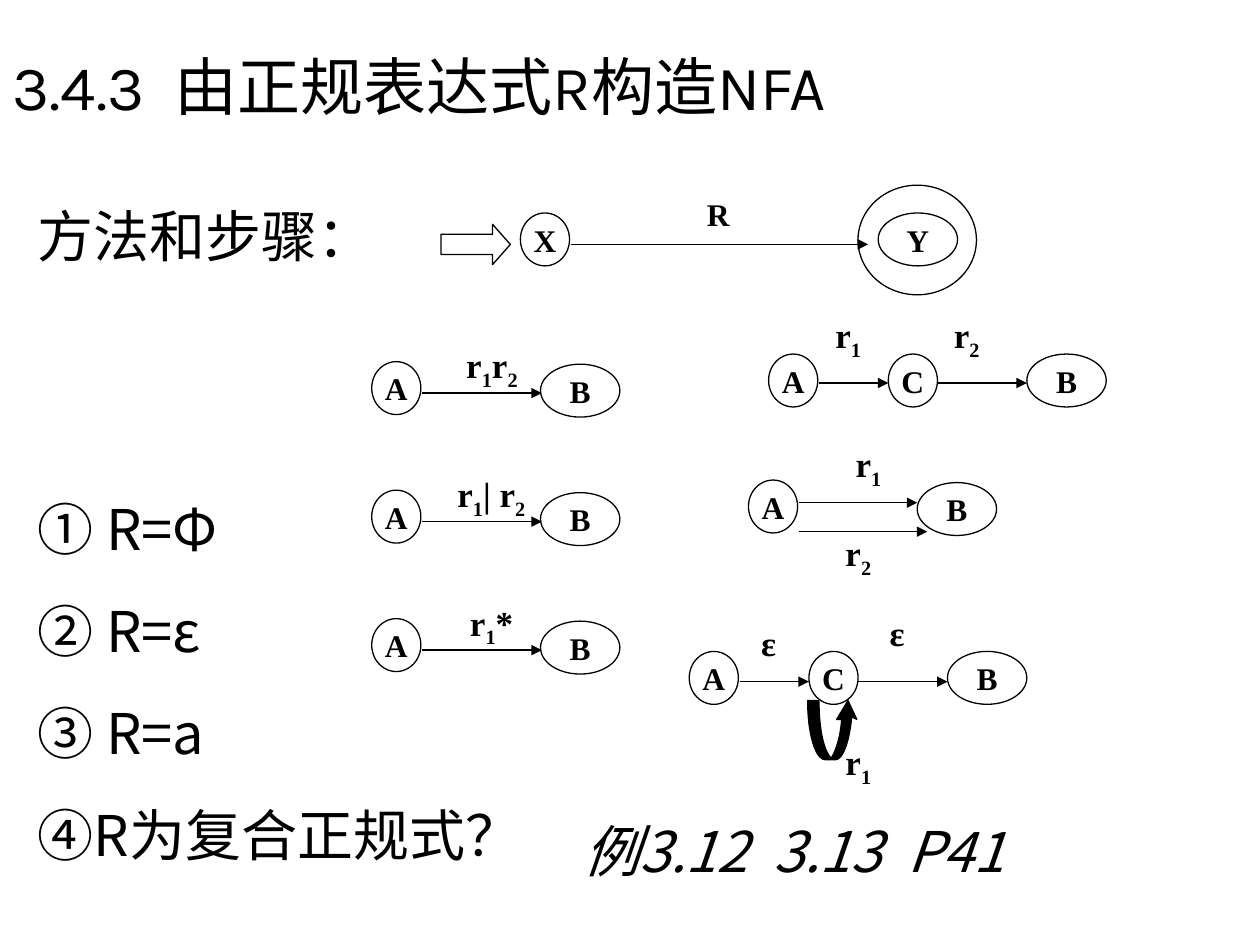
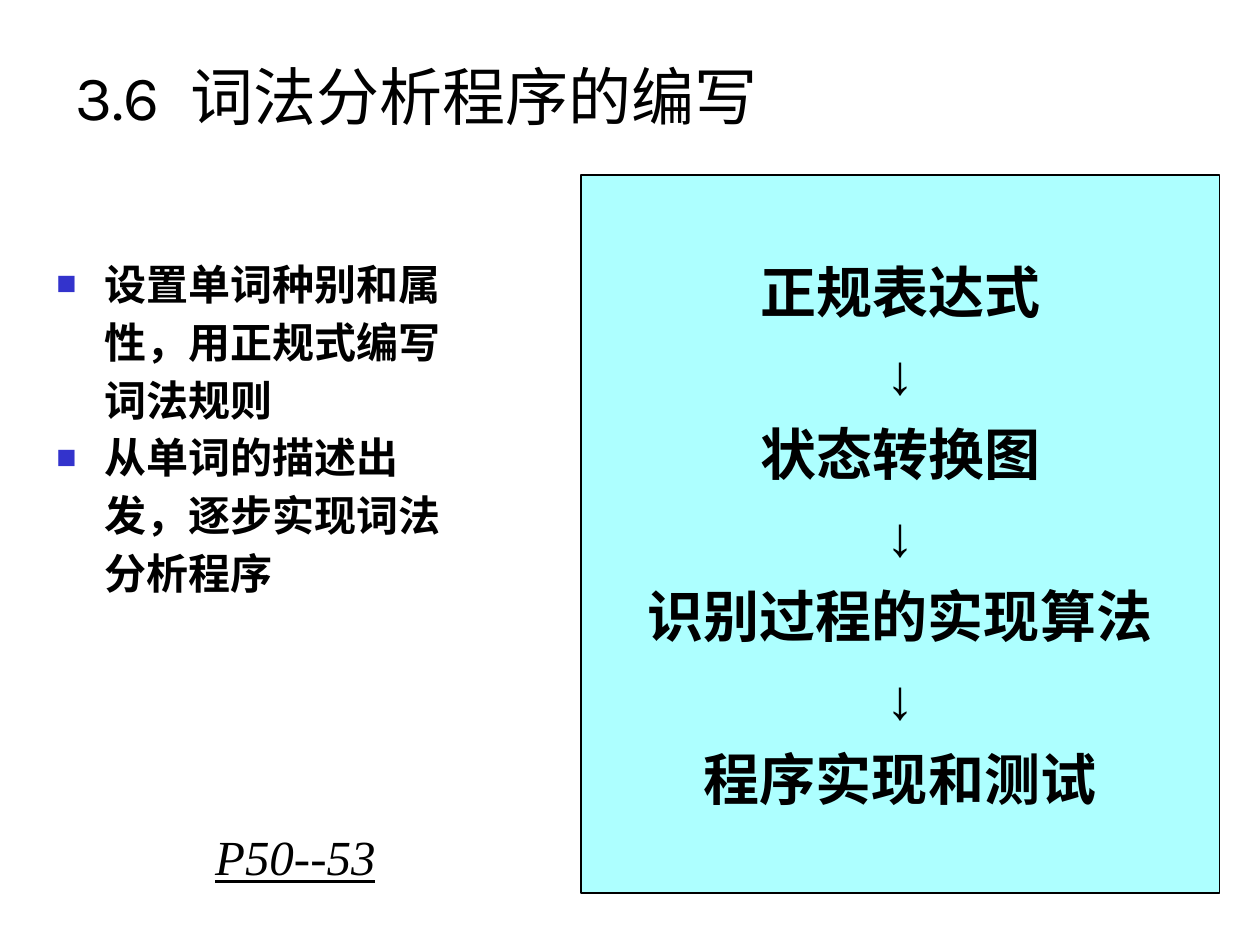
from dataclasses import dataclass
from itertools import groupby

from lxml import etree
from pptx import Presentation
from pptx import util as u
from pptx.dml.color import RGBColor
from pptx.enum import shapes, text
from pptx.oxml import ns

SHAPE = shapes.MSO_SHAPE
LEFT, MID = text.PP_ALIGN.LEFT, text.PP_ALIGN.CENTER
ANCHOR = text.MSO_ANCHOR
FIT = text.MSO_AUTO_SIZE


@dataclass(frozen=True)
class Theme:
    ink: RGBColor = RGBColor(0, 0, 0)
    page: RGBColor = RGBColor(255, 255, 255)
    panel: RGBColor = RGBColor(0xAD, 0xFF, 0xFF)
    mark: str = "3333CC"
    head: str = "Karla"
    body: str = "Noto Sans CJK SC"
    flow: str = "Arial"
    math: str = "Times New Roman"
    title: int = 36
    large: int = 32
    page_ref: int = 28
    list: int = 24
    label: int = 20
    node: int = 18
    thin: float = 0.75


T = Theme()
SMALL, WIDE, HIGH = 0.39, 0.63, 0.42  # state widths and height


def inches(*nums):
    return [u.Inches(n) for n in nums]


def add_xml(parent, tag, **attrs):
    return etree.SubElement(parent, ns.qn(tag), **attrs)


# Text
def style(par, font, size, align=LEFT, **flags):
    par.alignment = align
    par.font.name = font
    par.font.size = u.Pt(size)
    par.font.color.rgb = T.ink
    for flag, value in flags.items():
        setattr(par.font, flag, value)


def write(frame, lines, font, size, gap=0, align=LEFT, anchor=ANCHOR.TOP, **flags):
    frame.word_wrap = True
    frame.vertical_anchor = anchor
    for i, line in enumerate(lines):
        par = frame.add_paragraph() if i else frame.paragraphs[0]
        par.add_run().text = line
        if i and gap:
            par.space_before = u.Pt(gap)
        style(par, font, size, align, **flags)


def no_inset(frame):
    frame.margin_left = frame.margin_right = 0
    frame.margin_top = frame.margin_bottom = 0


def add_title(slide, words, *box):
    title = slide.shapes.title
    title.left, title.top, title.width, title.height = inches(*box)
    title.text_frame.auto_size = FIT.NONE
    write(title.text_frame, [words], T.head, T.title, anchor=ANCHOR.MIDDLE)


def add_note(slide, lines, box, font=T.body, size=T.large, **flags):
    note = slide.shapes.add_textbox(*inches(*box))
    write(note.text_frame, lines, font, size, gap=20, anchor=ANCHOR.BOTTOM, **flags)
    note.text_frame.auto_size = FIT.SHAPE_TO_FIT_TEXT
    return note


def add_list(slide, items, box):
    frame = slide.shapes.add_textbox(*inches(*box)).text_frame
    write(frame, items, T.head, T.list, bold=True)
    for par in frame.paragraphs:
        props = par._p.get_or_add_pPr()
        indent = u.Inches(0.38)
        props.set("marL", str(indent))
        props.set("indent", str(-indent))
        props.set("hangingPunct", "0")
        font = props.find(ns.qn("a:defRPr"))
        add_xml(add_xml(props, "a:buClr"), "a:srgbClr", val=T.mark)
        add_xml(props, "a:buSzPct", val="80000")
        add_xml(props, "a:buFont", typeface=T.flow)
        add_xml(props, "a:buChar", char="■")
        props.append(font)
        par.line_spacing = 1.15


# Diagram parts
def add_shape(slide, kind, box, fill=None, width=T.thin):
    shape = slide.shapes.add_shape(kind, *inches(*box))
    paint(shape, fill, width)
    return shape


def paint(shape, fill, width=T.thin):
    shape.shadow.inherit = False
    if fill is None:
        shape.fill.background()
    else:
        shape.fill.solid()
        shape.fill.fore_color.rgb = fill
    shape.line.color.rgb = T.ink
    shape.line.width = u.Pt(width)


def add_state(slide, name, left, top, width=SMALL):
    state = add_shape(slide, SHAPE.OVAL, (left, top, width, HIGH))
    no_inset(state.text_frame)
    write(state.text_frame, [name], T.math, T.node, align=MID,
          anchor=ANCHOR.MIDDLE, bold=True)


def add_edge(slide, start, end, y):
    edge = slide.shapes.add_connector(
        shapes.MSO_CONNECTOR.STRAIGHT, *inches(start, y, end, y))
    edge.line.color.rgb = T.ink
    edge.line.width = u.Pt(T.thin)
    add_xml(edge.line._get_or_add_ln(), "a:tailEnd", type="triangle")
    add_xml(edge._element.spPr, "a:effectLst")


def add_label(slide, words, left, top, size=T.label):
    """Write an edge label; its digits are subscripts."""
    frame = slide.shapes.add_textbox(*inches(left, top, 0.79, 0.38)).text_frame
    frame.word_wrap = True
    no_inset(frame)
    par = frame.paragraphs[0]
    for low, part in groupby(words, str.isdigit):
        run = par.add_run()
        run.text = "".join(part)
        if low:
            run.font._element.set("baseline", "-25000")
    style(par, T.math, size, bold=True)


def curve(a, b, c, d, steps=12):
    """Points of a cubic curve, without its start."""
    for i in range(1, steps + 1):
        t = i / steps
        s = 1 - t
        yield tuple(s**3 * p + 3 * s * s * t * q + 3 * s * t * t * r + t**3 * v
                    for p, q, r, v in zip(a, b, c, d))


def add_loop(slide):
    start = (6.41, 5.56)
    points = [
        *curve(start, (6.41, 5.82), (6.47, 6.03), (6.55, 6.03)),
        (6.63, 6.03),
        *curve((6.63, 6.03), (6.69, 6.03), (6.74, 5.89), (6.76, 5.69)),
        (6.8, 5.71), (6.73, 5.56), (6.64, 5.71), (6.68, 5.71),
        *curve((6.68, 5.71), (6.67, 5.86), (6.63, 5.97), (6.59, 6.03)),
        (6.59, 6.01),
        *curve((6.59, 6.01), (6.53, 5.94), (6.5, 5.76), (6.5, 5.56)),
    ]
    # Local units are whole numbers, so the points are given in EMU
    path = slide.shapes.build_freeform(*inches(*start), scale=1.0)
    path.add_line_segments([inches(*point) for point in points], close=True)
    paint(path.convert_to_shape(), T.ink)


# Automata
def draw_goal(slide):
    arrow = add_shape(slide, SHAPE.RIGHT_ARROW, (3.5, 1.78, 0.55, 0.32))
    arrow.adjustments[1] = 0.44
    add_state(slide, "X", 4.13, 1.69)
    add_edge(slide, 4.53, 6.89, 1.94)
    add_shape(slide, SHAPE.OVAL, (6.81, 1.47, 0.94, 0.87))
    add_state(slide, "Y", 6.97, 1.69, WIDE)
    add_label(slide, "R", 5.61, 1.55, T.node)


def draw_rule(slide, words, left, top):
    add_state(slide, "A", 2.95, top)
    add_edge(slide, 3.35, 4.3, top + 0.25)
    add_state(slide, "B", 4.29, top + 0.02, WIDE)
    add_label(slide, words, left, top - 0.14)


def draw_chain(slide, left, top, y):
    """States A, C and B in a row."""
    mid, last = left + 0.95, left + 2.05
    add_state(slide, "A", left, top)
    add_edge(slide, left + 0.4, mid, y)
    add_state(slide, "C", mid, top)
    add_edge(slide, mid + SMALL, last, y)
    add_state(slide, "B", last, top, WIDE)


def draw_choice(slide):
    add_state(slide, "A", 5.94, 3.81)
    add_state(slide, "B", 7.28, 3.83, WIDE)
    add_edge(slide, 6.34, 7.28, 3.99)
    add_edge(slide, 6.34, 7.36, 4.22)


# Slides
def build_nfa(slide):
    add_title(slide, "3.4.3  由正规表达式R构造NFA", 0, 0.21, 10, 0.94)
    add_note(slide, ["方法和步骤："], (0.2, 1.54, 3.23, 0.64))
    draw_goal(slide)
    add_note(slide, ["① R=Φ", "② R=ε", "③ R=a", "④R为复合正规式？"],
             (0.2, 3.87, 4.65, 3.07))
    rules = [("r1r2", 3.7), ("r1| r2", 3.63), ("r1*", 3.73)]
    for i, (words, left) in enumerate(rules):
        draw_rule(slide, words, left, 2.87 + 1.02 * i)
    draw_chain(slide, 6.1, 2.81, 3.04)
    draw_choice(slide)
    draw_chain(slide, 5.47, 5.17, 5.41)
    add_loop(slide)
    labels = [("r1", 6.63, 2.49), ("r2", 7.57, 2.49), ("r1", 6.79, 3.51),
              ("r2", 6.71, 4.22), ("ε", 6.04, 4.93), ("ε", 7.06, 4.85),
              ("r1", 6.71, 5.88)]
    for label in labels:
        add_label(slide, *label)
    add_note(slide, ["例3.12  3.13  P41"], (4.53, 6.42, 4.65, 0.64), italic=True)


def build_lexer(slide):
    add_title(slide, "3.6  词法分析程序的编写", 0.5, 0.13, 8.53, 1.25)
    add_list(slide, ["设置单词种别和属性，用正规式编写词法规则",
                     "从单词的描述出发，逐步实现词法分析程序"],
             (0.35, 1.94, 3.5, 4.96))
    panel = add_shape(slide, SHAPE.RECTANGLE, (4.61, 1.39, 5.07, 5.7), T.panel, 1)
    steps = ["正规表达式", "状态转换图", "识别过程的实现算法", "程序实现和测试"]
    write(panel.text_frame, "\n↓\n".join(steps).split("\n"), T.flow, T.large,
          gap=8, align=MID, anchor=ANCHOR.MIDDLE, bold=True)
    ref = add_note(slide, ["P50--53"], (1.61, 6.51, 2.36, 0.57), T.math,
                   T.page_ref, italic=True, underline=True)
    ref.fill.solid()
    ref.fill.fore_color.rgb = T.page


def main():
    deck = Presentation()
    deck.slide_width, deck.slide_height = inches(10, 7.5)
    for build in (build_nfa, build_lexer):
        build(deck.slides.add_slide(deck.slide_layouts[5]))
    deck.save("out.pptx")


if __name__ == "__main__":
    main()
